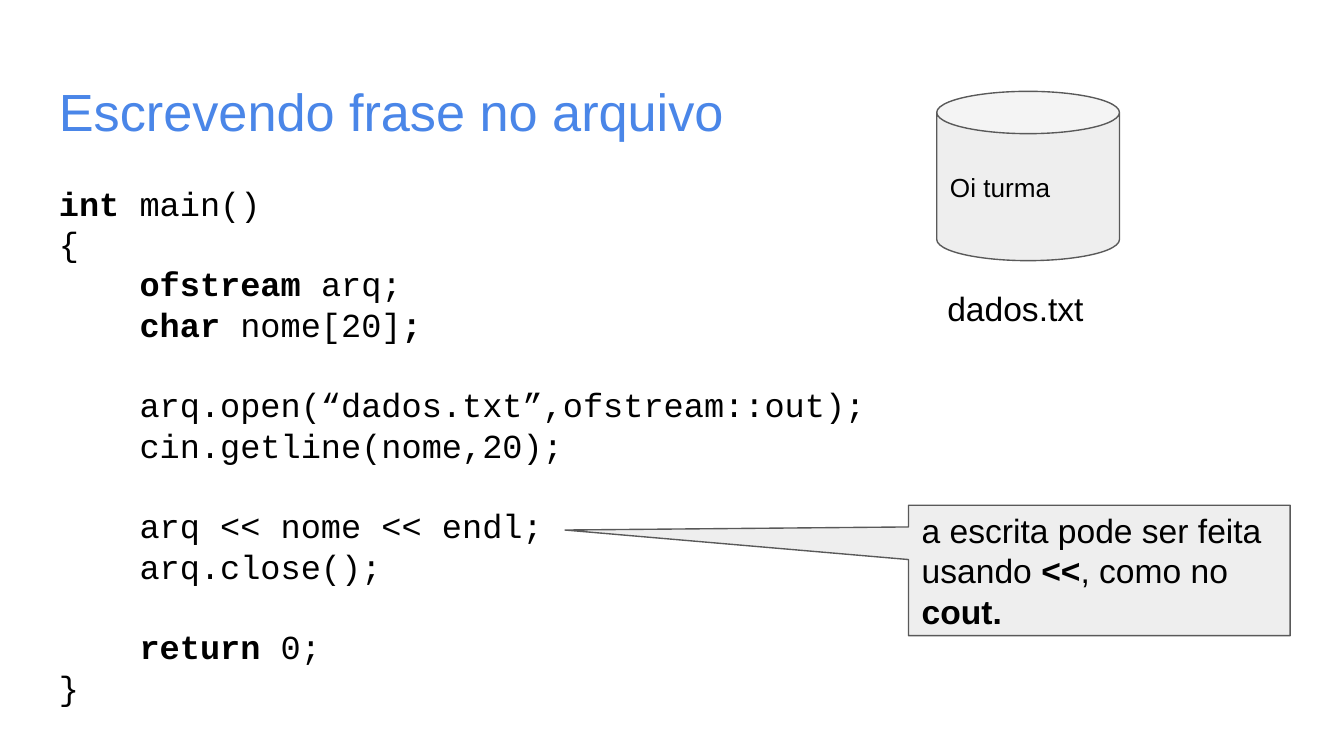
"""Build the slide on writing a sentence to a file."""
from pptx import Presentation
from pptx.dml.color import RGBColor
from pptx.enum.shapes import MSO_SHAPE as SHAPE
from pptx.enum.text import MSO_ANCHOR as ANCHOR, PP_ALIGN as ALIGN
from pptx.util import Inches, Pt

BLUE = RGBColor(0x4A, 0x86, 0xE8)
BLACK = RGBColor(0, 0, 0)
LIGHT = RGBColor(0xEE, 0xEE, 0xEE)
GRAY = RGBColor(0x59, 0x59, 0x59)
LINE_HEIGHT = Pt(21.6)
INDENT = Inches(0.6)

prs = Presentation()
prs.slide_width = Inches(10)
prs.slide_height = prs.slide_width * 9 // 16
s = prs.slides.add_slide(prs.slide_layouts[6])


def write(sp, lines, size=18, color=BLACK, font="Arial", anchor=ANCHOR.TOP):
    tf = sp.text_frame
    tf.word_wrap = True
    tf.vertical_anchor = anchor
    tf.margin_left = tf.margin_right = tf.margin_top = tf.margin_bottom = Inches(0.1)
    for i, runs in enumerate(lines):
        p = tf.paragraphs[0] if i == 0 else tf.add_paragraph()
        p.alignment = ALIGN.LEFT
        p.font.size, p.font.name, p.font.color.rgb = Pt(size), font, color
        for text, bold in runs:
            r = p.add_run()
            r.text, r.font.bold = text, bold
    return tf.paragraphs


def add_box(shape, box, adjustments):
    sp = s.shapes.add_shape(shape, *map(Inches, box))
    sp.shadow.inherit = False
    sp.fill.solid()
    sp.fill.fore_color.rgb = LIGHT
    sp.line.color.rgb, sp.line.width = GRAY, Pt(0.75)
    for i, value in enumerate(adjustments):
        sp.adjustments[i] = value
    return sp


title = s.shapes.add_textbox(*map(Inches, (0.34, 0.49, 9.32, 0.63)))
write(title, [[("Escrevendo frase no arquivo", False)]], 28, BLUE)

code = [
    (0, 0, [("int", True), (" main()", False)]),
    (0, 0, [("{", False)]),
    (1, 0, [("ofstream ", True), ("arq;", False)]),
    (1, 0, [("char ", True), ("nome[20]", False), (";", True)]),
    (1, 1, [("arq.open(“dados.txt”,ofstream::out);", False)]),
    (1, 0, [("cin.getline(nome,20);", False)]),
    (1, 1, [("arq << nome << endl;", False)]),
    (1, 0, [("arq.close();", False)]),
    (1, 1, [("return ", True), ("0;", False)]),
    (0, 0, [("}", False)]),
]
body = s.shapes.add_textbox(*map(Inches, (0.34, 1.26, 8.54, 3.74)))
paragraphs = write(body, [runs for _, _, runs in code], font="Courier New")
for p, (level, gap, _) in zip(paragraphs, code):
    p.line_spacing = LINE_HEIGHT
    p.space_before = gap * LINE_HEIGHT
    p._p.get_or_add_pPr().set("marL", str(level * INDENT))

disk = add_box(SHAPE.CAN, (6.97, 0.68, 1.36, 1.26), [0.25])
write(disk, [[("Oi turma", False)]], 14, anchor=ANCHOR.MIDDLE)

label = s.shapes.add_textbox(*map(Inches, (6.95, 2.04, 1.36, 0.48)))
write(label, [[("dados.txt", False)]])

callout = add_box(SHAPE.RECTANGULAR_CALLOUT, (6.76, 3.76, 2.84, 0.97), [-1.4, -0.31])
write(callout, [[("a escrita pode ser feita usando ", False), ("<<", True),
                 (", como no ", False), ("cout.", True)]], anchor=ANCHOR.MIDDLE)

prs.save("out.pptx")
